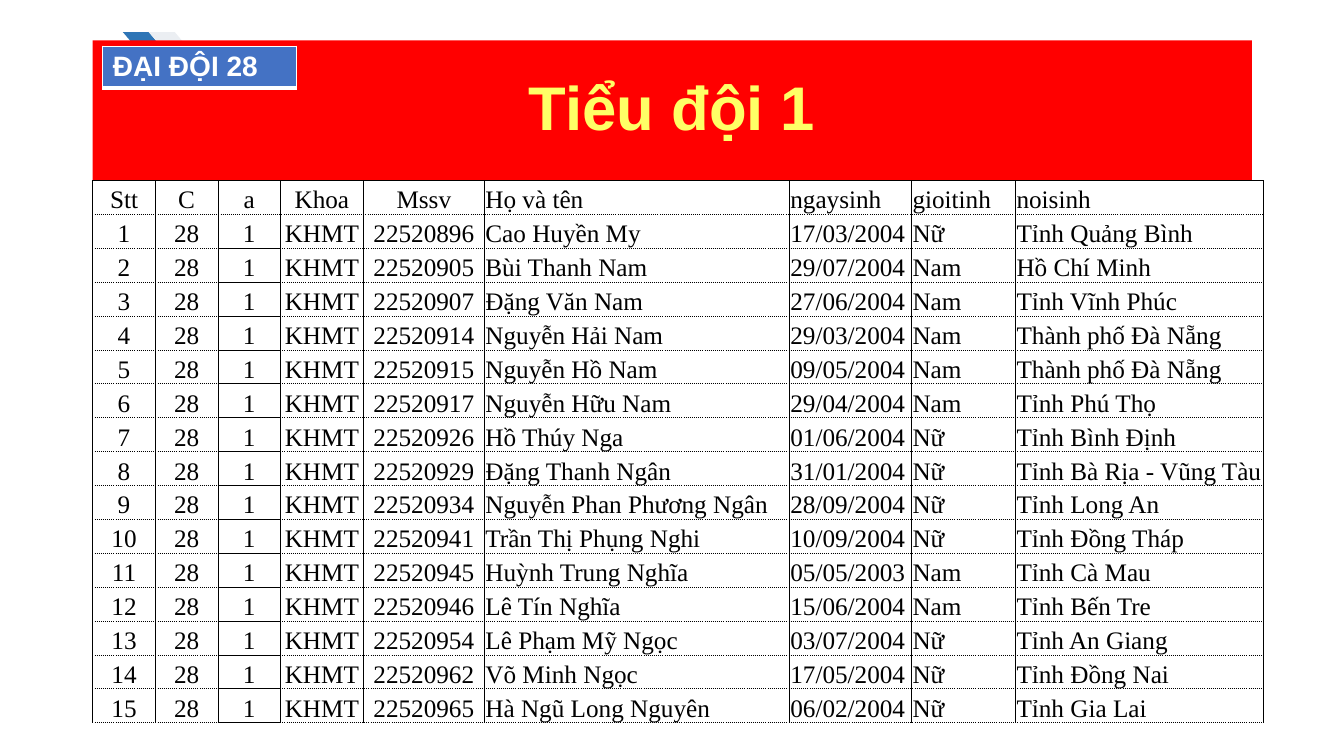
from lxml.etree import SubElement
from pptx import Presentation
from pptx.dml.color import RGBColor
from pptx.enum.shapes import MSO_SHAPE as Kind
from pptx.enum.text import MSO_ANCHOR as Anchor, PP_ALIGN as Align
from pptx.oxml.ns import qn
from pptx.util import Inches, Pt

HEADS = ["Stt", "C", "a", "Khoa", "Mssv", "Họ và tên", "ngaysinh", "gioitinh", "noisinh"]
COLS = [0.62, 0.62, 0.62, 0.82, 1.2, 3.02, 1.21, 1.03, 2.45]
TEAM = [
    ("22520896", "Cao Huyền My", "17/03/2004", "Nữ", "Tỉnh Quảng Bình"),
    ("22520905", "Bùi Thanh Nam", "29/07/2004", "Nam", "Hồ Chí Minh"),
    ("22520907", "Đặng Văn Nam", "27/06/2004", "Nam", "Tỉnh Vĩnh Phúc"),
    ("22520914", "Nguyễn Hải Nam", "29/03/2004", "Nam", "Thành phố Đà Nẵng"),
    ("22520915", "Nguyễn Hồ Nam", "09/05/2004", "Nam", "Thành phố Đà Nẵng"),
    ("22520917", "Nguyễn Hữu Nam", "29/04/2004", "Nam", "Tỉnh Phú Thọ"),
    ("22520926", "Hồ Thúy Nga", "01/06/2004", "Nữ", "Tỉnh Bình Định"),
    ("22520929", "Đặng Thanh Ngân", "31/01/2004", "Nữ", "Tỉnh Bà Rịa - Vũng Tàu"),
    ("22520934", "Nguyễn Phan Phương Ngân", "28/09/2004", "Nữ", "Tỉnh Long An"),
    ("22520941", "Trần Thị Phụng Nghi", "10/09/2004", "Nữ", "Tỉnh Đồng Tháp"),
    ("22520945", "Huỳnh Trung Nghĩa", "05/05/2003", "Nam", "Tỉnh Cà Mau"),
    ("22520946", "Lê Tín Nghĩa", "15/06/2004", "Nam", "Tỉnh Bến Tre"),
    ("22520954", "Lê Phạm Mỹ Ngọc", "03/07/2004", "Nữ", "Tỉnh An Giang"),
    ("22520962", "Võ Minh Ngọc", "17/05/2004", "Nữ", "Tỉnh Đồng Nai"),
    ("22520965", "Hà Ngũ Long Nguyên", "06/02/2004", "Nữ", "Tỉnh Gia Lai"),
]


def paint(target, color):
    if hasattr(target, "solid"):
        target.solid()
        target = target.fore_color
    target.rgb = RGBColor.from_string(color)


def apply(target, style):
    for name, value in style.items():
        setattr(target, name, value)


def part(box, x, y, w, h):
    left, top, wide, high = box
    return (int(left + wide * x / 100), int(top + high * y / 100),
            int(wide * w / 100), int(high * h / 100))


def write(frame, text, color, style, align=None):
    frame.text = text
    para = frame.paragraphs[0]
    para.alignment = align
    font = para.runs[0].font
    apply(font, style)
    paint(font.color, color)
    return para


def edge(cell, color, sides):
    props = cell._tc.get_or_add_tcPr()
    for spot, side in enumerate("LRTB"):
        width, dash = sides[side]
        line = SubElement(props, qn(f"a:ln{side}"), w=str(Pt(width)))
        fill = SubElement(line, qn("a:solidFill"))
        SubElement(fill, qn("a:srgbClr"), val=color)
        SubElement(line, qn("a:prstDash"), val=dash)
        props.insert(spot, line)


def grid(slide, box, rows, cols):
    table = slide.shapes.add_table(rows, len(cols), *box).table
    apply(table, {"first_row": False, "horz_banding": False})
    for col, share in zip(table.columns, cols):
        col.width = int(box[2] * share / sum(cols))
    for row in table.rows:
        row.height = box[3] // rows
    return table


def marks(slide, box):
    for x, color in ((2.61, "2E75B6"), (4.87, "EBEEF2")):
        mark = slide.shapes.add_shape(Kind.CHEVRON, *part(box, x, -5.76, 4.43, 43.17))
        mark.shadow.inherit = False
        paint(mark.fill, color)
        mark.line.fill.background()


def banner(slide, box):
    marks(slide, box)
    title = slide.shapes.title
    apply(title, dict(zip(("left", "top", "width", "height"), box)))
    slide.shapes.element.append(title.element)
    paint(title.fill, "FF0000")
    style = {"size": Pt(44), "name": "Arial", "bold": True}
    para = write(title.text_frame, "Tiểu đội 1", "FFFF66", style, Align.CENTER)
    para.line_spacing = 0.9
    title.text_frame.vertical_anchor = Anchor.MIDDLE


def badge(slide, box):
    cell = grid(slide, box, 1, [1]).cell(0, 0)
    style = {"size": Pt(20), "name": "Arial", "bold": True}
    write(cell.text_frame, "ĐẠI ĐỘI 28", "FFFFFF", style)
    paint(cell.fill, "4472C4")
    thin = (1, "solid")
    edge(cell, "FFFFFF", {"L": thin, "R": thin, "T": thin, "B": (3, "solid")})


def roster(slide, box):
    rows = [HEADS] + [(str(n), "28", "1", "KHMT", *man) for n, man in enumerate(TEAM, 1)]
    table = grid(slide, box, len(rows), COLS)
    style = {"size": Pt(18), "name": "Times New Roman", "bold": False}
    inset = Inches(0.01)
    layout = {"vertical_anchor": Anchor.BOTTOM, "margin_left": inset,
              "margin_right": inset, "margin_top": inset, "margin_bottom": 0}
    full, dots = (0.5, "solid"), (0.5, "sysDot")
    for r, row in enumerate(rows):
        for c, text in enumerate(row):
            cell = table.cell(r, c)
            align = Align.CENTER if c < 5 else Align.LEFT
            write(cell.text_frame, text, "000000", style, align)
            apply(cell, layout)
            cell.fill.background()
            squad = HEADS[c] == "a"
            top = full if r == 0 or squad and r > 1 else dots
            base = full if squad and r else dots
            edge(cell, "000000", {"L": full, "R": full, "T": top, "B": base})


def main():
    deck = Presentation()
    apply(deck, {"slide_width": Inches(13.33), "slide_height": Inches(7.5)})
    slide = deck.slides.add_slide(deck.slide_layouts[5])
    page = (0, 0, deck.slide_width, deck.slide_height)
    band = part(page, 6.9, 5.33, 86.25, 18.53)
    banner(slide, band)
    badge(slide, part(band, 0.87, 4.3, 16.7, 29.5))
    roster(slide, part(page, 6.9, 23.87, 87.08, 71.73))
    deck.save("out.pptx")


if __name__ == "__main__":
    main()
